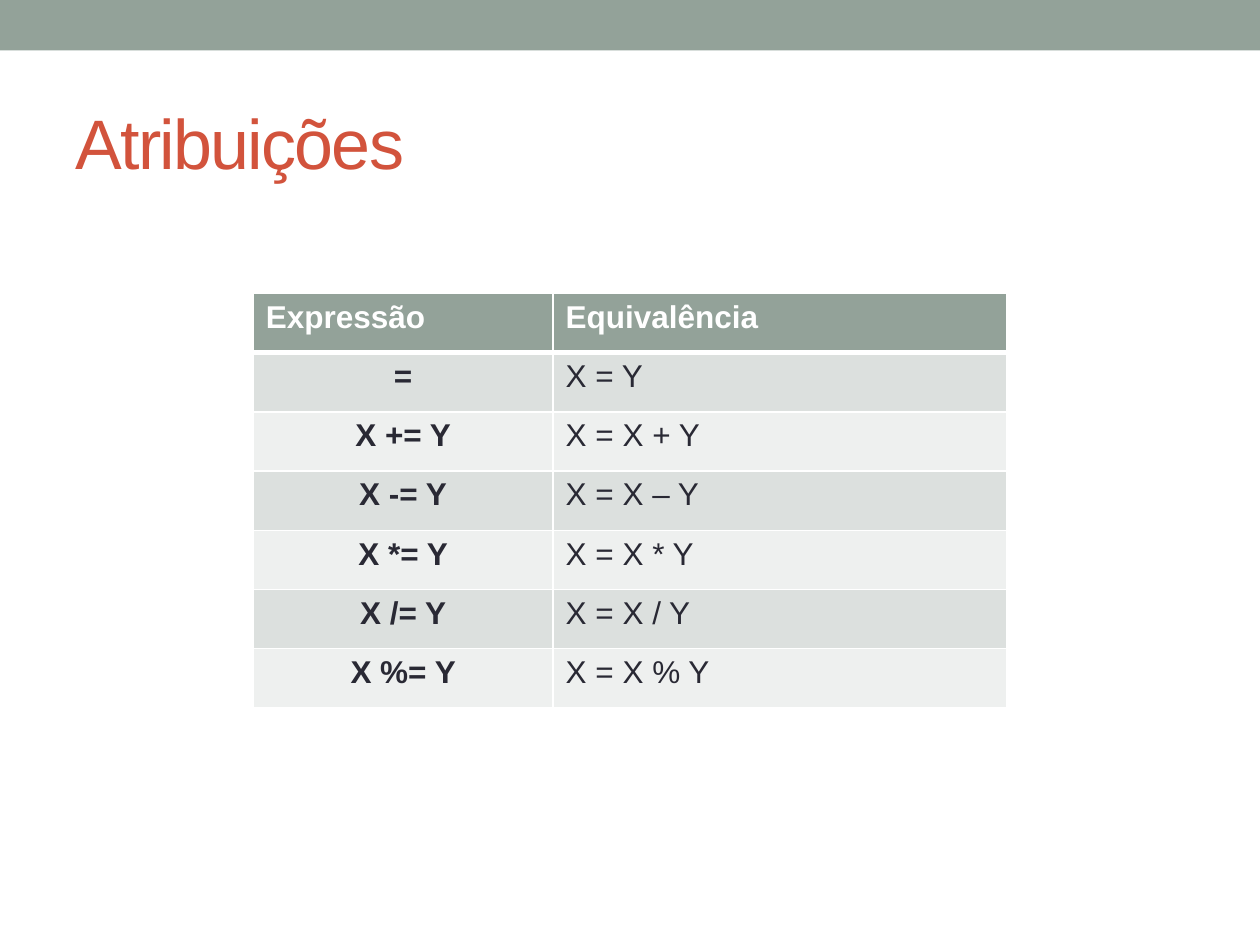
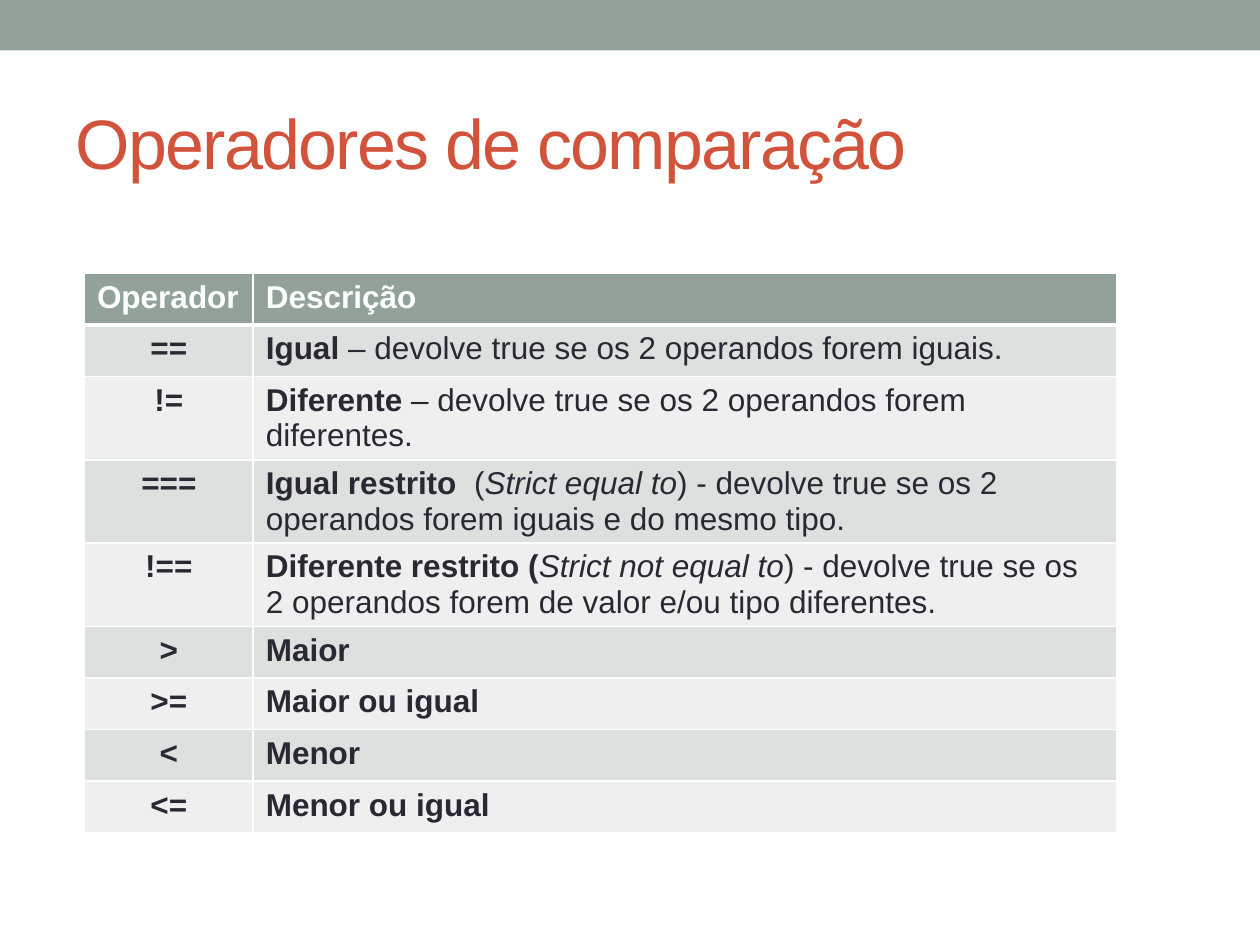
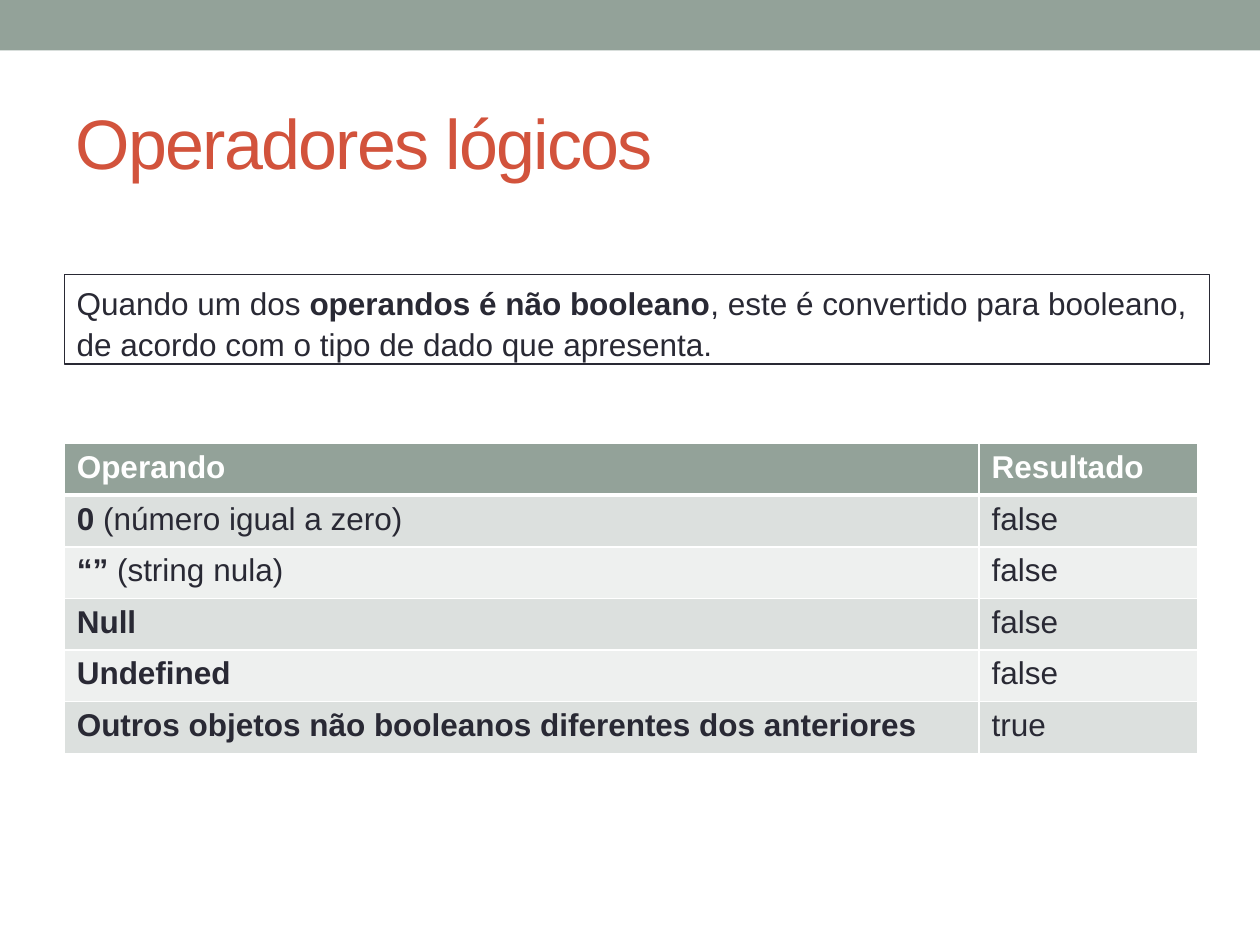
from lxml.etree import SubElement
from pptx import Presentation
from pptx.dml.color import RGBColor as RGB
from pptx.enum.shapes import MSO_SHAPE as SHAPE
from pptx.enum.text import MSO_ANCHOR as ANCHOR, MSO_AUTO_SIZE as AUTO, PP_ALIGN as ALIGN
from pptx.oxml.ns import qn
from pptx.util import Inches, Pt

SAGE = RGB(0x93, 0xA2, 0x99)
BRICK = RGB(0xD2, 0x53, 0x3C)
INK = RGB(0x29, 0x29, 0x34)
WHITE = RGB(0xFF, 0xFF, 0xFF)
STRIPES = RGB(0xDC, 0xE0, 0xDE), RGB(0xEE, 0xF0, 0xEF)

WIDTH, HEIGHT = 10, 7.5
TITLE = dict(name="Arial", size=Pt(40), color=BRICK)
TEXT = dict(name="Arial", size=Pt(18), color=INK)
HEAD = dict(TEXT, color=WHITE, bold=True)
STYLES = {"": {}, "b": {"bold": True}, "i": {"italic": True}}


def bold(text, rest=""):
    return [("b", text), ("", rest)] if rest else [("b", text)]


def plain(text):
    return [("", text)]


SLIDES = [
    dict(
        title="Atribuições",
        at=(2.01, 2.33), cols=(2.38, 3.6), row=0.47, center=True,
        head=("Expressão", "Equivalência"),
        rows=[(bold("="), plain("X = Y"))] + [
            (bold(f"X {sign}= Y"), plain(f"X = X {shown} Y"))
            for sign, shown in zip("+-*/%", "+–*/%")],
    ),
    dict(
        title="Operadores de comparação",
        at=(0.67, 2.17), cols=(1.34, 6.85), row=0.41, center=True,
        head=("Operador", "Descrição"),
        rows=[
            (bold("=="), bold("Igual", " – devolve true se os 2 operandos forem iguais.")),
            (bold("!="), bold("Diferente", " – devolve true se os 2 operandos forem diferentes.")),
            (bold("==="), bold("Igual restrito", "  (") + [
                ("i", "Strict equal to"),
                ("", ") - devolve true se os 2 operandos forem iguais e do mesmo tipo.")]),
            (bold("!=="), bold("Diferente restrito (") + [
                ("i", "Strict not equal to"),
                ("", ") - devolve true se os 2 operandos forem de valor e/ou tipo diferentes.")]),
            (bold(">"), bold("Maior")),
            (bold(">="), bold("Maior ou igual")),
            (bold("<"), bold("Menor")),
            (bold("<="), bold("Menor ou igual")),
        ],
    ),
    dict(
        title="Operadores lógicos",
        at=(0.51, 3.52), cols=(7.26, 1.74), row=0.41, center=False,
        head=("Operando", "Resultado"),
        rows=[
            (bold("0", " (número igual a zero)"), plain("false")),
            (bold("“”", " (string nula)"), plain("false")),
            (bold("Null"), plain("false")),
            (bold("Undefined"), plain("false")),
            (bold("Outros objetos não booleanos diferentes dos anteriores"), plain("true")),
        ],
        note=[
            plain("Quando um dos ") + bold("operandos é não booleano",
                                           ", este é convertido para booleano,"),
            plain("de acordo com o tipo de dado que apresenta."),
        ],
    ),
]
NOTE_BOX = 0.51, 2.18, 9.09, 0.71


def write(para, runs, look):
    for key, text in runs:
        run = para.add_run()
        run.text = text
        for name, value in {**look, **STYLES[key]}.items():
            if name == "color":
                run.font.color.rgb = value
            else:
                setattr(run.font, name, value)


def edge(cell, top, bottom):
    """Give the cell white borders; top and bottom are widths in points."""
    props = cell._tc.get_or_add_tcPr()
    for side, width in zip("LRTB", (1, 1, top, bottom)):
        line = SubElement(props, qn(f"a:ln{side}"), w=str(Pt(width)))
        fill = SubElement(line, qn("a:solidFill"))
        SubElement(fill, qn("a:srgbClr"), val=str(WHITE))


def add_grid(slide, data):
    cols, high = data["cols"], data["row"]
    heads = [plain(text) for text in data["head"]]
    rows = [heads] + data["rows"]
    size = sum(cols), high * len(rows)
    grid = slide.shapes.add_table(len(rows), len(cols),
                                  *map(Inches, data["at"] + size)).table
    for col, width in zip(grid.columns, cols):
        col.width = Inches(width)
    for r, row in enumerate(rows):
        for c, runs in enumerate(row):
            cell = grid.cell(r, c)
            edge(cell, 3 if r == 1 else 1, 3 if r == 0 else 1)
            cell.fill.solid()
            cell.fill.fore_color.rgb = STRIPES[(r - 1) % 2] if r else SAGE
            para = cell.text_frame.paragraphs[0]
            if r and c == 0 and data["center"]:
                para.alignment = ALIGN.CENTER
            write(para, runs, TEXT if r else HEAD)


def add_note(slide, lines):
    box = slide.shapes.add_textbox(*map(Inches, NOTE_BOX))
    box.line.color.rgb = INK
    box.line.width = Pt(0.75)
    frame = box.text_frame
    frame.word_wrap = False
    for i, runs in enumerate(lines):
        para = frame.add_paragraph() if i else frame.paragraphs[0]
        para.line_spacing = 1.09
        write(para, runs, TEXT)


def add_title(slide, text):
    frame = slide.shapes.title.text_frame
    frame.vertical_anchor = ANCHOR.MIDDLE
    frame.auto_size = AUTO.NONE
    para = frame.paragraphs[0]
    para.alignment = ALIGN.LEFT
    write(para, plain(text), TITLE)
    para.runs[0].font._element.set("spc", "-100")


def set_layout(layout, slide):
    """Place the title and move a top band from the slide to its layout."""
    title = layout.placeholders[0]
    title.left, title.top, title.width, title.height = map(Inches, (0.5, 0.58, 9, 1.08))
    band = slide.shapes.add_shape(SHAPE.RECTANGLE, 0, 0, Inches(WIDTH), Inches(0.4))
    band.shadow.inherit = False
    band.fill.solid()
    band.fill.fore_color.rgb = SAGE
    band.line.fill.background()
    layout.shapes.element.insert(2, band.element)


def main():
    deck = Presentation()
    deck.slide_width, deck.slide_height = Inches(WIDTH), Inches(HEIGHT)
    layout = deck.slide_layouts[5]
    for i, data in enumerate(SLIDES):
        slide = deck.slides.add_slide(layout)
        if i == 0:
            set_layout(layout, slide)
        add_title(slide, data["title"])
        add_grid(slide, data)
        if "note" in data:
            add_note(slide, data["note"])
    deck.save("out.pptx")


if __name__ == "__main__":
    main()
